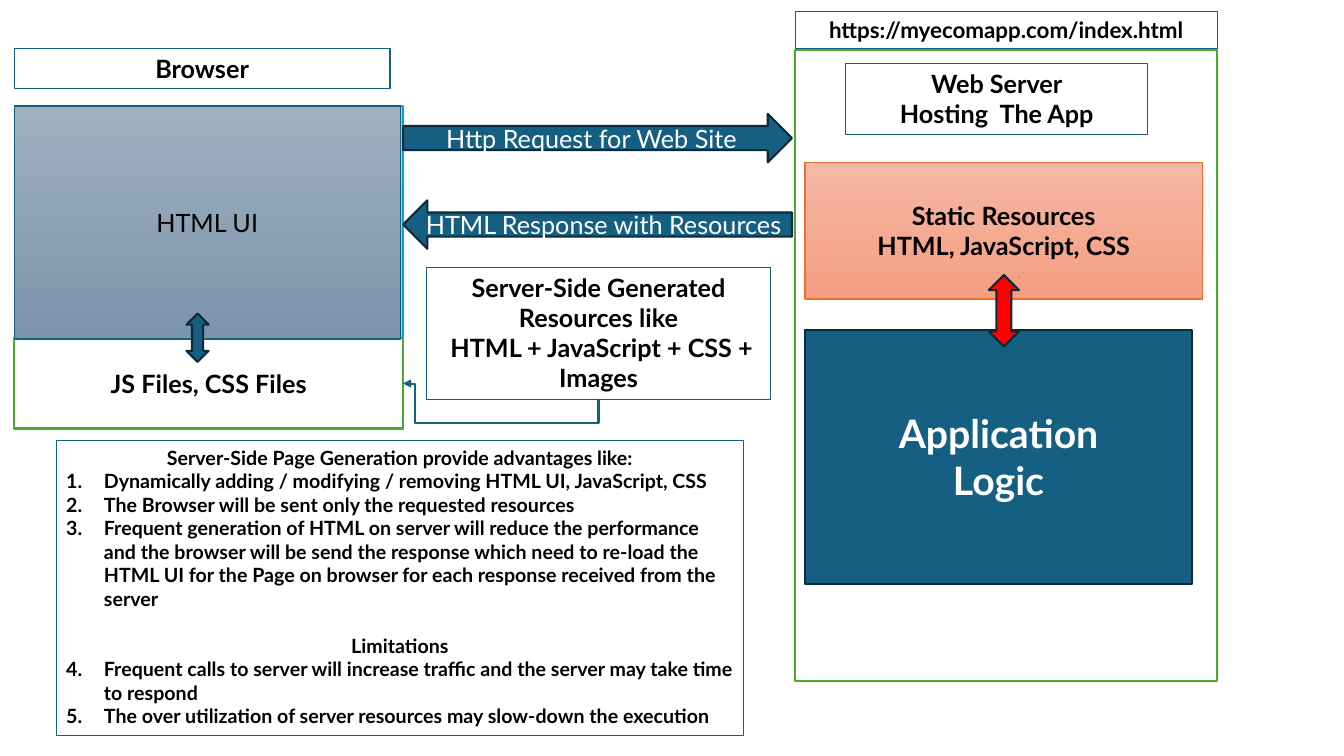
from lxml.etree import SubElement
from pptx import Presentation
from pptx.dml.color import RGBColor
from pptx.enum.shapes import MSO_CONNECTOR, MSO_SHAPE
from pptx.enum.text import MSO_ANCHOR, MSO_AUTO_SIZE, PP_ALIGN
from pptx.oxml.ns import qn
from pptx.util import Cm, Pt

TEAL, NAVY, GREEN, ORANGE = "156082", "092A39", "4EA72E", "E97132"
SKY, RED, WHITE, BLACK = "0F9ED5", "FF0000", "FFFFFF", "000000"


def color(hex_string):
    return RGBColor.from_string(hex_string)


class SlideBuilder:
    font_name = "Lato"
    number_indent = 0.95

    def __init__(self, slide):
        self.slide = slide

    def set_line(self, shape, line_color, width):
        shape.line.color.rgb = color(line_color)
        shape.line.width = Pt(width)

    def format_paragraph(self, paragraph, text, **formats):
        """Fill a paragraph, with font values taken from a dict."""
        paragraph.alignment = PP_ALIGN.CENTER
        run = paragraph.add_run()
        run.text = text
        values = {"size": 18, "bold": True, "color": BLACK} | formats
        run.font.color.rgb = color(values.pop("color"))
        values |= {"size": Pt(values["size"]), "name": self.font_name}
        for name, value in values.items():
            setattr(run.font, name, value)

    def fill_text(self, shape, lines, **formats):
        frame = shape.text_frame
        frame.word_wrap = True
        for index, text in enumerate(lines):
            paragraph = frame.add_paragraph() if index else frame.paragraphs[0]
            self.format_paragraph(paragraph, text, **formats)

    def block(self, kind, box, fill, line, lines=(), rotation=0, **formats):
        """Add a preset shape; a pair of fill colours makes a gradient."""
        shape = self.slide.shapes.add_shape(kind, *map(Cm, box))
        shape.shadow.inherit = False
        shape.rotation = rotation
        if isinstance(fill, tuple):
            shape.fill.gradient()
            shape.fill.gradient_angle = 270
            for stop, stop_color in zip(shape.fill.gradient_stops, fill):
                stop.color.rgb = color(stop_color)
        else:
            shape.fill.solid()
            shape.fill.fore_color.rgb = color(fill)
        self.set_line(shape, *line)
        shape.text_frame.vertical_anchor = MSO_ANCHOR.MIDDLE
        self.fill_text(shape, lines, **formats)
        return shape

    def label(self, box, lines, **formats):
        """Add an outlined text box."""
        shape = self.slide.shapes.add_textbox(*map(Cm, box))
        self.set_line(shape, TEAL, 0.75)
        self.fill_text(shape, lines, **formats)
        shape.text_frame.auto_size = MSO_AUTO_SIZE.SHAPE_TO_FIT_TEXT
        return shape

    def number(self, paragraph, start):
        """Turn a paragraph into a numbered list item."""
        paragraph.alignment = PP_ALIGN.LEFT
        properties = paragraph._p.get_or_add_pPr()
        indent = Cm(self.number_indent)
        properties.set("marL", str(indent))
        properties.set("indent", str(-indent))
        SubElement(properties, qn("a:buFont"), typeface="+mj-lt")
        SubElement(properties, qn("a:buAutoNum"), type="arabicPeriod", startAt=str(start))

    def bent_arrow(self, box, adjustments):
        """Add a four-part elbow, turned so that it runs down, left and up."""
        left, top, width, height = map(Cm, box)
        connector = self.slide.shapes.add_connector(
            MSO_CONNECTOR.ELBOW, left, top, left + width, top + height)
        self.set_line(connector, TEAL, 1.5)
        properties = connector._element.spPr
        transform = properties.find(qn("a:xfrm"))
        transform.set("rot", "5400000")
        transform.set("flipH", "1")
        geometry = properties.find(qn("a:prstGeom"))
        geometry.set("prst", "bentConnector4")
        guides = geometry.find(qn("a:avLst"))
        for index, value in enumerate(adjustments, 1):
            SubElement(guides, qn("a:gd"), name=f"adj{index}", fmla=f"val {value}")
        SubElement(properties.find(qn("a:ln")), qn("a:tailEnd"), type="triangle")
        SubElement(properties, qn("a:effectLst"))


def main():
    presentation = Presentation()
    presentation.slide_width, presentation.slide_height = Cm(33.87), Cm(19.05)
    builder = SlideBuilder(presentation.slides.add_slide(presentation.slide_layouts[6]))
    rectangle = MSO_SHAPE.RECTANGLE
    dark_line = (NAVY, 1.5)

    # Web server
    builder.block(rectangle, (20.04, 1.27, 10.64, 15.9), WHITE, (GREEN, 1.5))
    builder.label((21.31, 1.6, 7.62, 1.8), ["Web Server", "Hosting  The App"])
    builder.block(rectangle, (20.29, 4.09, 10.01, 3.45), ("F5B8A5", "F59E82"), (ORANGE, 1),
                  ["Static Resources", "HTML, JavaScript, CSS"])
    builder.block(rectangle, (20.29, 8.31, 9.75, 6.4), TEAL, dark_line,
                  ["Application", "Logic"], size=28, color=WHITE)
    builder.label((20.04, 0.28, 10.64, 0.94), ["https://myecomapp.com/index.html"], size=16)

    # Browser frame
    builder.block(rectangle, (0.36, 2.67, 9.8, 8.15), ("9ECFF5", "7CBEED"), (SKY, 1))
    builder.label((0.36, 1.22, 9.47, 1.02), ["Browser"])

    # Request and response
    messages = [(MSO_SHAPE.RIGHT_ARROW, 2.87, "Http Request for Web Site"),
                (MSO_SHAPE.LEFT_ARROW, 5.05, "HTML Response with Resources")]
    for kind, top, text in messages:
        builder.block(kind, (10.16, top, 9.8, 1.22), TEAL, dark_line, [text],
                      bold=False, color=WHITE)

    # Generated resources feeding the browser
    builder.label((10.74, 6.73, 8.69, 3.33),
                  ["Server-Side Generated Resources like", " HTML + JavaScript + CSS + Images"])
    builder.block(rectangle, (0.36, 8.51, 9.8, 2.29), WHITE, (GREEN, 1.5),
                  ["JS Files, CSS Files"])
    builder.bent_arrow((12.43, 7.39, 0.38, 4.93), (-162600, 94000))
    builder.block(rectangle, (0.36, 2.67, 9.73, 5.87), ("9EAFBF", "7C95AB"), (TEAL, 1),
                  ["HTML UI"], bold=False)
    builder.block(MSO_SHAPE.LEFT_RIGHT_ARROW, (4.37, 8.23, 1.22, 0.56), TEAL, dark_line,
                  rotation=270)

    # Advantages and limitations
    advantages = [
        "Dynamically adding / modifying / removing HTML UI, JavaScript, CSS",
        "The Browser will be sent only the requested resources",
        "Frequent generation of HTML on server will reduce the performance and the browser "
        "will be send the response which need to re-load the HTML UI for the Page on browser "
        "for each response received from the server",
    ]
    limitations = [
        "Frequent calls to server will increase traffic and the server may take time to respond",
        "The over utilization of server resources may slow-down the execution",
    ]
    heading = "Server-Side Page Generation provide advantages like:"
    notes = builder.label((1.42, 11.1, 17.32, 7.44),
                          [heading, *advantages, "Limitations", *limitations], size=14)
    paragraphs = notes.text_frame.paragraphs
    limits_index = len(advantages) + 1
    paragraphs[limits_index].space_before = Pt(16.8)
    items = paragraphs[1:limits_index] + paragraphs[limits_index + 1:]
    for index, paragraph in enumerate(items):
        first_number = 1 if index < len(advantages) else len(advantages) + 1
        builder.number(paragraph, first_number)

    # Link between static resources and application logic
    builder.block(MSO_SHAPE.UP_DOWN_ARROW, (24.92, 6.93, 0.76, 1.8), RED, dark_line)

    presentation.save("out.pptx")


if __name__ == "__main__":
    main()
